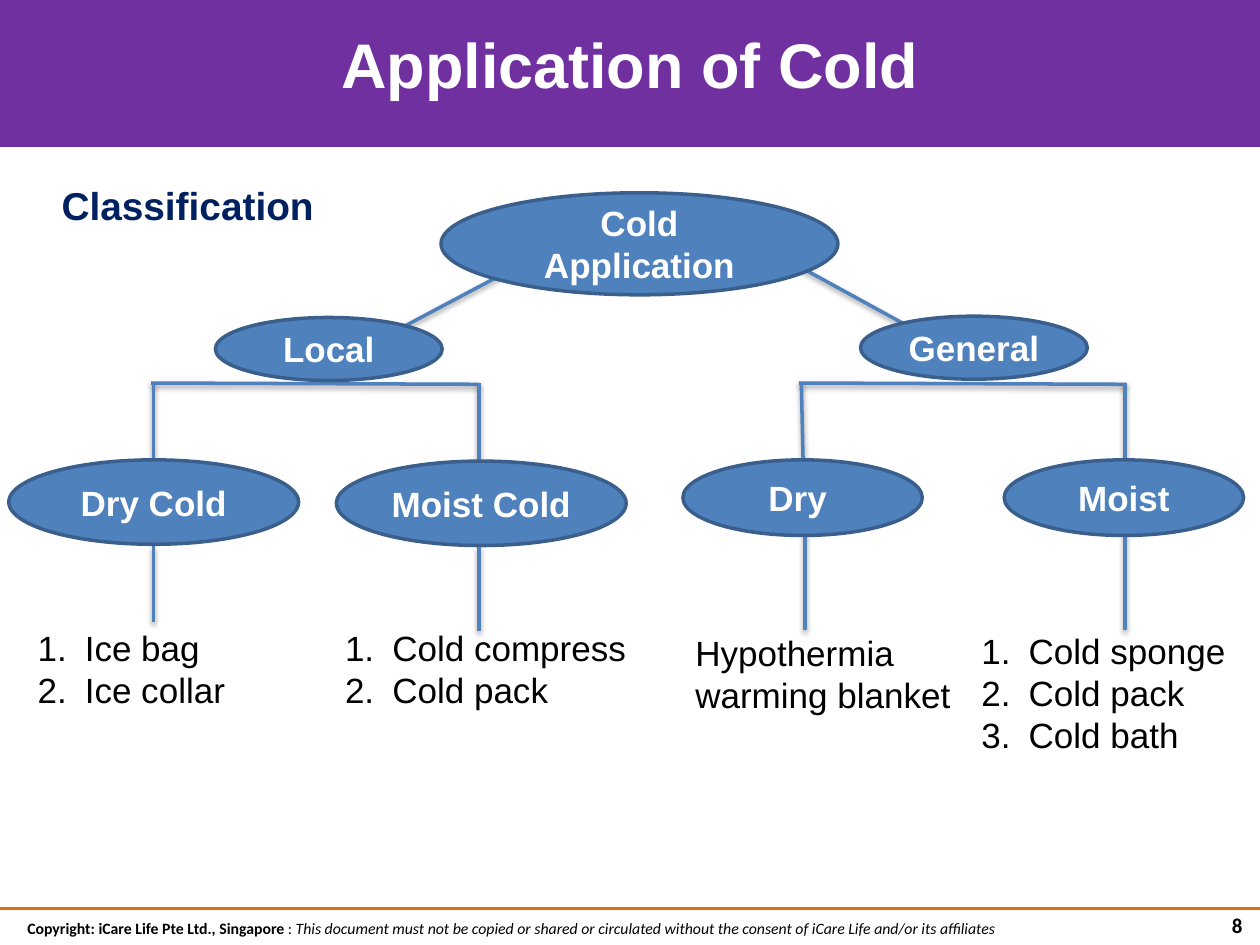
from lxml import etree
from pptx import Presentation
from pptx import util as u
from pptx.dml.color import RGBColor
from pptx.enum import shapes, text
from pptx.oxml import ns

WHITE = RGBColor(0xFF, 0xFF, 0xFF)
BLACK = RGBColor(0x00, 0x00, 0x00)
PURPLE = RGBColor(0x70, 0x30, 0xA0)
NAVY = RGBColor(0x00, 0x20, 0x60)
BLUE = RGBColor(0x4F, 0x81, 0xBD)
EDGE = RGBColor(0x3A, 0x5F, 0x8C)
ORANGE = RGBColor(0xE4, 0x6C, 0x0A)
LEFT, CENTER, RIGHT = text.PP_ALIGN.LEFT, text.PP_ALIGN.CENTER, text.PP_ALIGN.RIGHT
TOP, MIDDLE = text.MSO_ANCHOR.TOP, text.MSO_ANCHOR.MIDDLE

prs = Presentation()
prs.slide_width, prs.slide_height = u.Inches(10), u.Inches(7.5)
COL, ROW = prs.slide_width / 100, prs.slide_height / 75
s = prs.slides.add_slide(prs.slide_layouts[5])


def grid(x, y, w, h):
    return int(x * COL), int(y * ROW), int(w * COL), int(h * ROW)


def write(sp, lines, size, color, bold=False, align=LEFT, anchor=TOP, font="Arial", numbered=False):
    tf = sp.text_frame
    tf.word_wrap = True
    tf.auto_size = text.MSO_AUTO_SIZE.NONE
    tf.vertical_anchor = anchor
    for i, line in enumerate(lines):
        p = tf.paragraphs[0] if i == 0 else tf.add_paragraph()
        p.alignment = align
        if numbered:
            pPr = p._p.get_or_add_pPr()
            pPr.set("marL", str(int(3.75 * COL)))
            pPr.set("indent", str(int(-3.75 * COL)))
            etree.SubElement(pPr, ns.qn("a:buFont"), typeface="+mj-lt")
            etree.SubElement(pPr, ns.qn("a:buAutoNum"), type="arabicPeriod")
        for words, b, italic in [(line, bold, False)] if isinstance(line, str) else line:
            r = p.add_run()
            r.text = words
            r.font.name, r.font.size = font, u.Pt(size)
            r.font.bold, r.font.italic = b, italic
            r.font.color.rgb = color


footer_rule = (-0.1, 72.1, 100.3, 72.1)
branches = [
    (41.7, 20.8, 30.2, 26.9), (62.6, 20.7, 73.2, 26.5),
    (12, 30.4, 38, 30.5), (63.4, 30.4, 89.4, 30.5),
    (12.2, 30.4, 12.2, 37), (38, 30.4, 38, 38),
    (63.6, 30.4, 63.8, 39.3), (89.3, 30.4, 89.3, 39.3),
    (12.2, 43.3, 12.2, 49.4), (38, 43.3, 38, 50.1),
    (63.9, 41, 63.9, 50), (89.3, 41, 89.3, 50),
]
for x1, y1, x2, y2 in [footer_rule] + branches:
    is_rule = (x1, y1, x2, y2) == footer_rule
    ln = s.shapes.add_connector(shapes.MSO_CONNECTOR.STRAIGHT, *grid(x1, y1, x2, y2))
    ln.line.color.rgb = ORANGE if is_rule else BLUE
    ln.line.width = u.Pt(1.5 if is_rule else 2)
    effects = etree.SubElement(ln._element.spPr, ns.qn("a:effectLst"))
    if not is_rule:
        shadow = etree.SubElement(effects, ns.qn("a:outerShdw"), blurRad="40000",
                                  dist="20000", dir="5400000", rotWithShape="0")
        black = etree.SubElement(shadow, ns.qn("a:srgbClr"), val="000000")
        etree.SubElement(black, ns.qn("a:alpha"), val="38000")

for label, *box in [
    ("Cold Application", 35, 15.3, 31.5, 8.1),
    ("Local", 17.1, 25.2, 18, 5),
    ("General", 68.3, 25.1, 18, 5),
    ("Dry Cold", 0.7, 36.5, 23, 6.7),
    ("Moist Cold", 26.7, 36.6, 23, 6.7),
    ("Dry ", 54.2, 36.5, 19, 6),
    ("Moist", 79.7, 36.5, 19, 6),
]:
    sp = s.shapes.add_shape(shapes.MSO_SHAPE.OVAL, *grid(*box))
    sp.shadow.inherit = False
    sp.fill.solid()
    sp.fill.fore_color.rgb = BLUE
    sp.line.color.rgb = EDGE
    sp.line.width = u.Pt(2)
    write(sp, [label], 20, WHITE, True, CENTER, MIDDLE)

for lines, *box in [
    (["Ice bag", "Ice collar"], 2, 49.2, 26, 7.7),
    (["Cold compress", "Cold pack"], 26.4, 49.2, 29, 7.7),
    (["Hypothermia warming blanket"], 54.2, 49.6, 22.6, 7.7),
    (["Cold sponge", "Cold pack", "Cold bath"], 76.9, 49.5, 26.7, 11.1),
]:
    sp = s.shapes.add_textbox(*grid(*box))
    write(sp, lines, 20, BLACK, numbered=len(lines) > 1)

sp = s.shapes.add_textbox(*grid(3.9, 13.9, 23.6, 4.5))
write(sp, ["Classification"], 22.2, NAVY, True)

banner = s.shapes.add_shape(shapes.MSO_SHAPE.RECTANGLE, *grid(0, 0, 100, 11.5))
banner.shadow.inherit = False
banner.fill.solid()
banner.fill.fore_color.rgb = PURPLE
banner.line.color.rgb = PURPLE
banner.line.width = u.Pt(2)

title = s.shapes.title
title.left, title.top, title.width, title.height = grid(0, 2.1, 100, 5.8)
write(title, ["Application of Cold"], 36, WHITE, True, CENTER, MIDDLE)
banner._element.addnext(title._element)

notice = [
    ("Copyright: iCare Life Pte Ltd., Singapore ", True, False),
    (": ", False, False),
    ("This document must not be copied or shared or circulated without the consent "
     "of iCare Life and/or its affiliates", False, True),
]
sp = s.shapes.add_textbox(*grid(0, 72.4, 81.1, 2.6))
write(sp, [notice], 9, BLACK, align=CENTER, anchor=MIDDLE, font="Calibri")
sp = s.shapes.add_textbox(*grid(96.5, 72.4, 3.1, 2.1))
write(sp, ["8"], 12, BLACK, True, RIGHT, MIDDLE, "Calibri")

prs.save("out.pptx")
